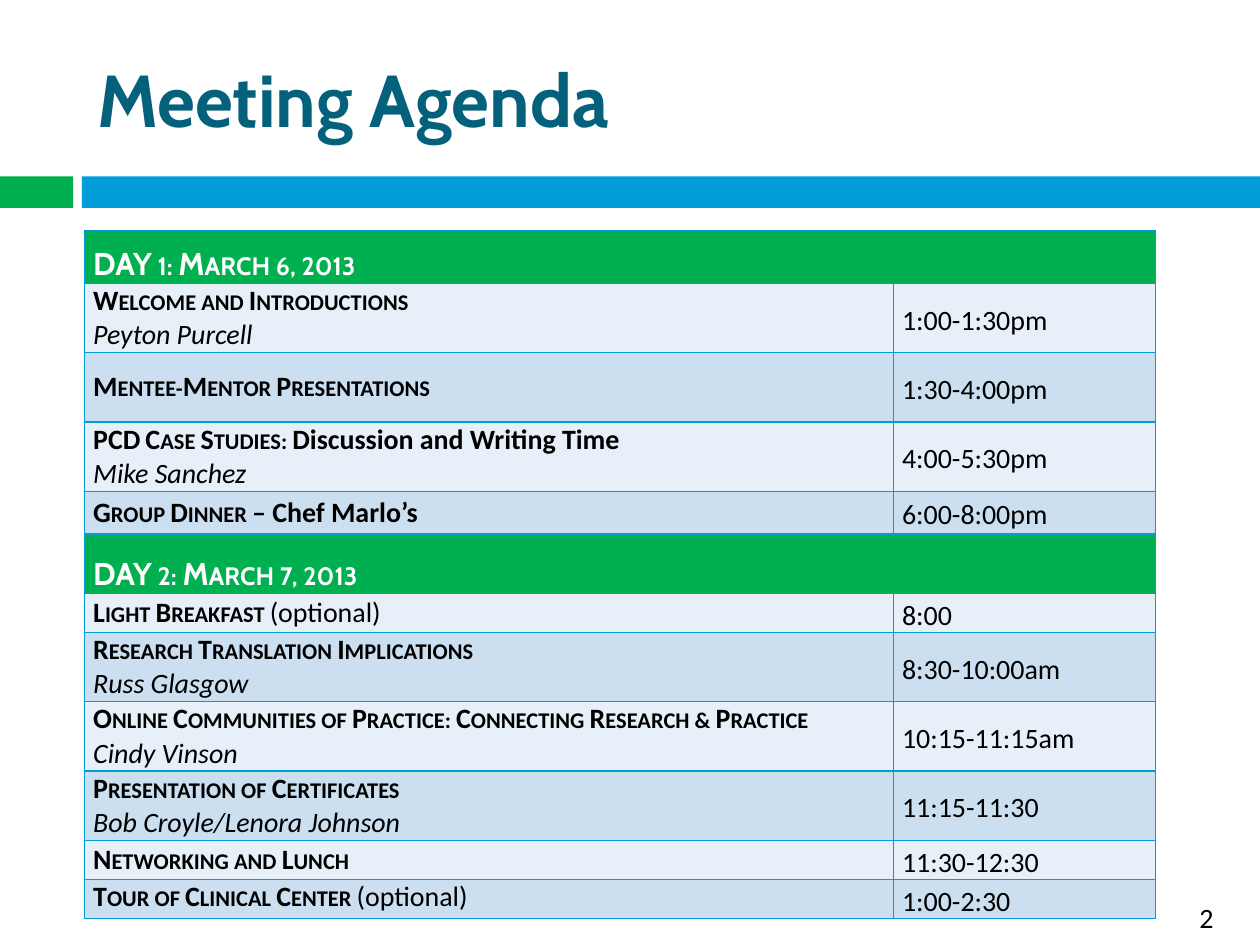
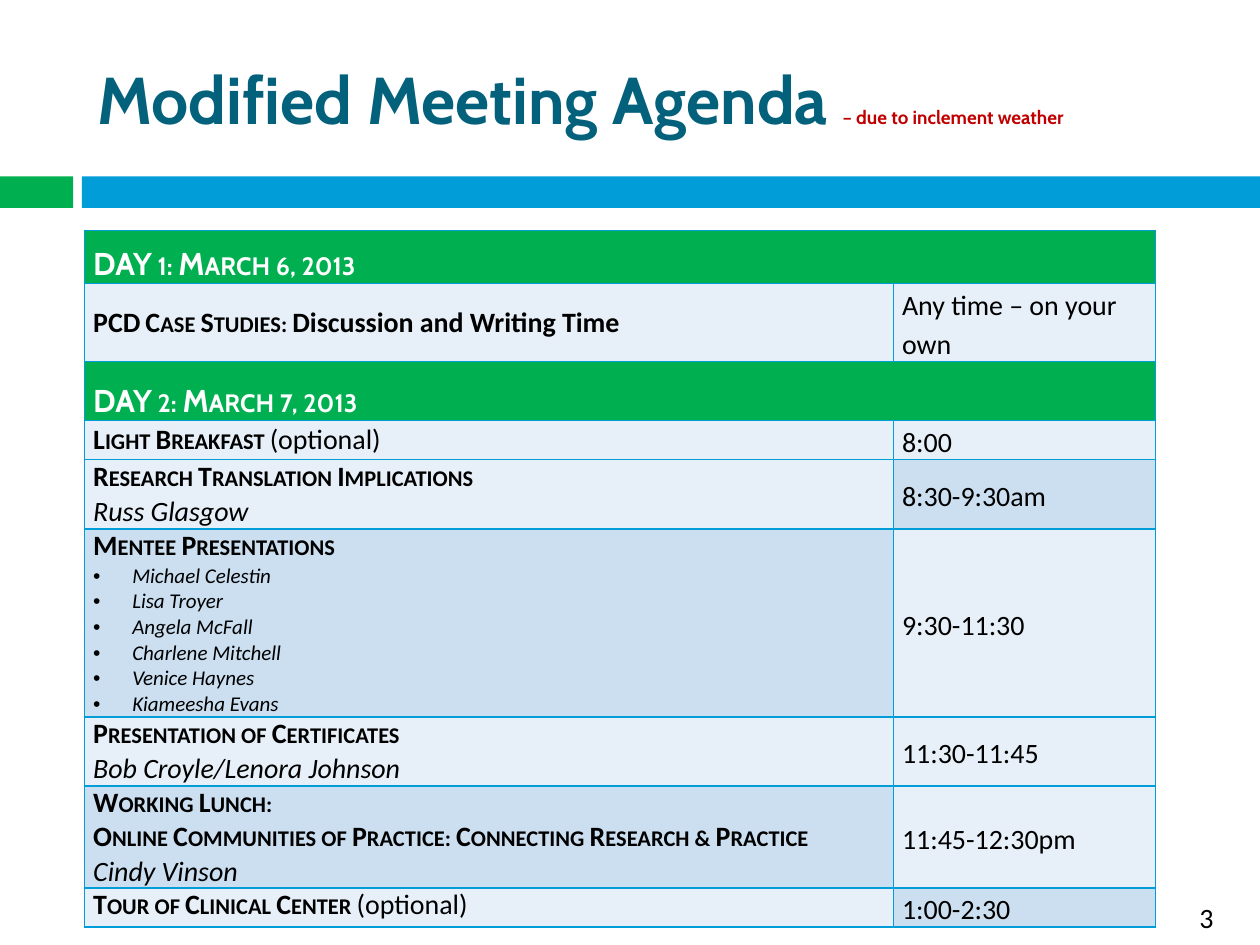
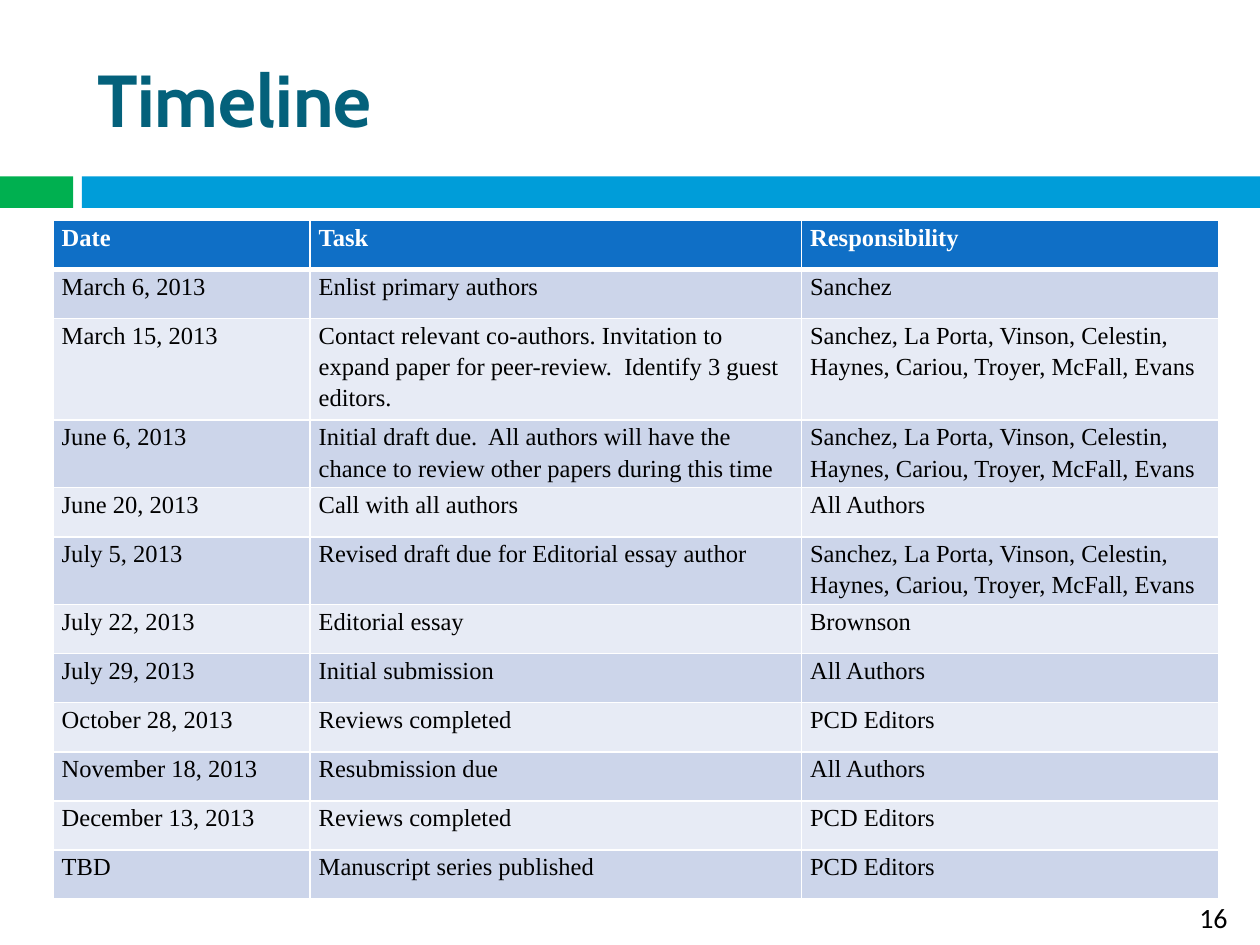
from collections import namedtuple

from lxml import etree
from pptx import Presentation
from pptx.dml.color import RGBColor
from pptx.enum import shapes, text
from pptx.oxml import ns
from pptx.util import Inches, Pt

COLORS = {
    "title": "04617B", "alert": "C00000", "green": "00B050", "blue": "009DD9",
    "ink": "000000", "white": "FFFFFF", "pale": "E7F0F8", "sky": "CBDFF1",
    "header": "0F6FC6", "band_dark": "CCD5EA", "band_light": "E7EBF5",
}
HEADING_FONT, BODY_FONT, TABLE_FONT = "Cabin", "Calibri", "Times New Roman"
Box = namedtuple("Box", "left top width height")
Style = namedtuple("Style", "font size color bold italic caps", defaults=(False, False, False))

TITLE = Style(HEADING_FONT, 42, "title", bold=True)
LONG_TITLE = TITLE._replace(size=37.8)
SUBTITLE = TITLE._replace(size=10.8, color="alert")
DAY = Style(HEADING_FONT, 18, "white", bold=True, caps=True)
PLAIN = Style(BODY_FONT, 16, "ink")
BOLD = PLAIN._replace(bold=True)
TOPIC = BOLD._replace(caps=True)
SPEAKER = PLAIN._replace(italic=True)
MENTEE = SPEAKER._replace(size=12)
ENTRY = Style(TABLE_FONT, 14, "ink")
COLUMN_NAME = ENTRY._replace(color="white", bold=True)

TITLE_BOX = Box(0.67, 0.3, 8.83, 0.95)
NUMBER_BOX = Box(9.42, 7.1, 0.5, 0.4)
BANDS = [(Box(0, 1.4, 0.58, 0.25), "green"), (Box(0.65, 1.4, 9.35, 0.25), "blue")]
AGENDA_BOX = Box(0.67, 1.83, 8.5, 5.4)
TIMELINE_BOX = Box(0.42, 1.75, 9.25, 4.68)

DAY_1 = (0.42, "DAY 1: March 6, 2013")
DAY_2 = (0.47, "DAY 2: March 7, 2013")
CASE_STUDIES = [("PCD Case Studies: ", TOPIC), ("Discussion and Writing Time", BOLD)]
BREAKFAST = (0.31, [[("Light Breakfast ", TOPIC), ("(optional)", PLAIN)]], "8:00", "pale", "pale")
TRANSLATION = [[("Research Translation Implications", TOPIC)], [("Russ Glasgow", SPEAKER)]]
COMMUNITIES = [("Online Communities of Practice: Connecting Research & Practice\n", TOPIC),
               ("Cindy Vinson", SPEAKER)]
CERTIFICATES = [[("Presentation of Certificates", TOPIC)],
                [("Bob Croyle/Lenora Johnson", SPEAKER)]]
TOUR = [[("Tour of Clinical Center ", TOPIC), ("(optional)", PLAIN)]]
MENTEES = ["Michael Celestin", "Lisa Troyer", "Angela McFall",
           "Charlene Mitchell", "Venice Haynes", "Kiameesha Evans"]

AGENDA = [
    DAY_1,
    (0.55, [[("Welcome and Introductions\n", TOPIC), ("Peyton Purcell", SPEAKER)]],
     "1:00-1:30pm", "pale", "pale"),
    (0.55, [[("Mentee-Mentor Presentations", TOPIC)]], "1:30-4:00pm", "sky", "sky"),
    (0.55, [CASE_STUDIES + [("\nMike Sanchez", SPEAKER)]], "4:00-5:30pm", "pale", "pale"),
    (0.34, [[("Group Dinner ", TOPIC), ("– Chef Marlo’s", BOLD)]], "6:00-8:00pm", "sky", "sky"),
    DAY_2,
    BREAKFAST,
    (0.55, TRANSLATION, "8:30-10:00am", "sky", "sky"),
    (0.55, [COMMUNITIES], "10:15-11:15am", "pale", "pale"),
    (0.55, CERTIFICATES, "11:15-11:30", "sky", "sky"),
    (0.31, [[("Networking and Lunch", TOPIC)]], "11:30-12:30", "pale", "pale"),
    (0.31, TOUR, "1:00-2:30", "sky", "sky"),
]
MODIFIED_AGENDA = [
    DAY_1,
    (0.62, [CASE_STUDIES], "Any time – on your own", "pale", "pale"),
    DAY_2,
    BREAKFAST,
    (0.55, TRANSLATION, "8:30-9:30am", "pale", "sky"),
    (1.49, [[("Mentee Presentations", TOPIC)]] + [[(name, MENTEE)] for name in MENTEES],
     "9:30-11:30", "sky", "pale"),
    (0.55, CERTIFICATES, "11:30-11:45", "pale", "pale"),
    (0.81, [[("Working Lunch:", TOPIC)], COMMUNITIES], "11:45-12:30pm", "sky", "pale"),
    (0.31, TOUR, "1:00-2:30", "pale", "sky"),
]

AUTHORS = "Sanchez, La Porta, Vinson, Celestin, Haynes, Cariou, Troyer, McFall, Evans"
TIMELINE = [
    ("Date", "Task", "Responsibility"),
    ("March 6, 2013", "Enlist primary authors", "Sanchez"),
    ("March 15, 2013", "Contact relevant co-authors. Invitation to expand paper for "
     "peer-review.  Identify 3 guest editors.", AUTHORS),
    ("June 6, 2013", "Initial draft due.  All authors will have the chance to review "
     "other papers during this time", AUTHORS),
    ("June 20, 2013", "Call with all authors", "All Authors"),
    ("July 5, 2013", "Revised draft due for Editorial essay author", AUTHORS),
    ("July 22, 2013", "Editorial essay", "Brownson"),
    ("July 29, 2013", "Initial submission", "All Authors"),
    ("October 28, 2013", "Reviews completed", "PCD Editors"),
    ("November 18, 2013", "Resubmission due", "All Authors"),
    ("December 13, 2013", "Reviews completed", "PCD Editors"),
    ("TBD", "Manuscript series published", "PCD Editors"),
]


def rgb(name):
    """Return the named colour."""
    return RGBColor.from_string(COLORS[name])


def inches(box):
    """Return the sides of a box as lengths."""
    return [Inches(side) for side in box]


def add_span(para, words, style):
    """Add styled words, turning each newline into a line break."""
    for index, piece in enumerate(words.split("\n")):
        if index:
            para.add_line_break()
        if not piece:
            continue
        span = para.add_run()
        span.text = piece
        span.font.name, span.font.size = style.font, Pt(style.size)
        span.font.bold, span.font.italic = style.bold, style.italic
        span.font.color.rgb = rgb(style.color)
        if style.caps:
            span.font._element.set("cap", "small")


def add_bullet(para):
    """Give a paragraph a round bullet with a hanging indent."""
    properties = para._p.get_or_add_pPr()
    properties.set("marL", str(Inches(0.31)))
    properties.set("indent", str(-Inches(0.31)))
    etree.SubElement(properties, ns.qn("a:buFont"), typeface="Arial")
    etree.SubElement(properties, ns.qn("a:buChar"), char="•")


def set_borders(cell, color, bottom=1):
    """Draw the four borders of a cell."""
    properties = cell._tc.get_or_add_tcPr()
    for side, width in (("L", 1), ("R", 1), ("T", 1), ("B", bottom)):
        line = etree.SubElement(properties, ns.qn(f"a:ln{side}"), w=str(Pt(width)))
        fill = etree.SubElement(line, ns.qn("a:solidFill"))
        etree.SubElement(fill, ns.qn("a:srgbClr"), val=COLORS[color])


def fill_cell(cell, lines, fill, border, anchor="MIDDLE", leading=None, gap=None, bottom=1):
    """Write paragraphs of styled spans into a cell and format it."""
    set_borders(cell, border, bottom)
    cell.fill.solid()
    cell.fill.fore_color.rgb = rgb(fill)
    cell.margin_left = cell.margin_right = Inches(0.07)
    cell.margin_top = cell.margin_bottom = 0
    cell.vertical_anchor = text.MSO_ANCHOR[anchor]
    for index, line in enumerate(lines):
        para = cell.text_frame.add_paragraph() if index else cell.text_frame.paragraphs[0]
        if leading:
            para.line_spacing = leading
        if gap:
            para.space_before = para.space_after = Pt(gap)
        if line[0][1] is MENTEE:
            add_bullet(para)
        for words, style in line:
            add_span(para, words, style)


def add_grid(page, box, widths, heights):
    """Add an unstyled table with the given columns and rows."""
    table = page.shapes.add_table(len(heights), len(widths), *inches(box)).table
    table.first_row = table.horz_banding = False
    for column, width in zip(table.columns, widths):
        column.width = Inches(width)
    for row, height in zip(table.rows, heights):
        row.height = Inches(height)
    return table


def add_agenda(page, box, rows):
    """Add an agenda table with day headings, topics and times."""
    table = add_grid(page, box, (6.42, box.width - 6.42), [row[0] for row in rows])
    for index, (_, *entry) in enumerate(rows):
        topic_cell, time_cell = table.cell(index, 0), table.cell(index, 1)
        if len(entry) == 1:
            topic_cell.merge(time_cell)
            fill_cell(topic_cell, [[(entry[0], DAY)]], "green", "blue", "BOTTOM", 1.15, 6)
            set_borders(time_cell, "blue")
            continue
        topic, time, topic_fill, time_fill = entry
        anchor = "TOP" if topic is TOUR else "MIDDLE"
        fill_cell(topic_cell, topic, topic_fill, "blue", anchor)
        fill_cell(time_cell, [[(time, PLAIN)]], time_fill, "blue", anchor, 1.15, 6)


def add_timeline(page, box, rows):
    """Add the banded table of dates, tasks and people, in rows that grow with their text."""
    heights = [box.height / len(rows)] * len(rows)
    table = add_grid(page, box, (2.04, 3.9, box.width - 5.94), heights)
    table.first_row = True
    for index, entries in enumerate(rows):
        fill = "band_dark" if index % 2 else "band_light"
        style, bottom = ENTRY, 1
        if index == 0:
            fill, style, bottom = "header", COLUMN_NAME, 3
        for column, words in enumerate(entries):
            fill_cell(table.cell(index, column), [[(words, style)]], fill, "white",
                      "TOP", 1.15, bottom=bottom)


def add_title(page, box, spans):
    """Place and format the title placeholder."""
    title = page.shapes.title
    title.left, title.top, title.width, title.height = inches(box)
    frame = title.text_frame
    frame.word_wrap = True
    frame.auto_size = text.MSO_AUTO_SIZE.NONE
    frame.vertical_anchor = text.MSO_ANCHOR.MIDDLE
    para = frame.paragraphs[0]
    para.alignment = text.PP_ALIGN.LEFT
    for words, style in spans:
        add_span(para, words, style)


def add_band(page, box, color):
    """Add one plain coloured band."""
    band = page.shapes.add_shape(shapes.MSO_SHAPE.RECTANGLE, *inches(box))
    band.shadow.inherit = False
    band.fill.solid()
    band.fill.fore_color.rgb = rgb(color)
    band.line.fill.background()


def add_number(page, box, number):
    """Add the page number."""
    frame = page.shapes.add_textbox(*inches(box)).text_frame
    frame.word_wrap = True
    add_span(frame.paragraphs[0], number, PLAIN)


def add_page(deck, title, number):
    """Add a title-only page with its bands, title and number."""
    page = deck.slides.add_slide(deck.slide_layouts.get_by_name("Title Only"))
    for box, color in BANDS:
        add_band(page, box, color)
    add_title(page, TITLE_BOX, title)
    add_number(page, NUMBER_BOX, number)
    return page


def main():
    """Build and save the deck."""
    deck = Presentation()
    deck.slide_width, deck.slide_height = Inches(10), Inches(7.5)
    add_agenda(add_page(deck, [("Meeting Agenda", TITLE)], "2"), AGENDA_BOX, AGENDA)
    modified_title = [("Modified Meeting Agenda ", LONG_TITLE),
                      ("– due to inclement weather", SUBTITLE)]
    add_agenda(add_page(deck, modified_title, "3"), AGENDA_BOX, MODIFIED_AGENDA)
    add_timeline(add_page(deck, [("Timeline", TITLE)], "16"), TIMELINE_BOX, TIMELINE)
    deck.save("out.pptx")


if __name__ == "__main__":
    main()
